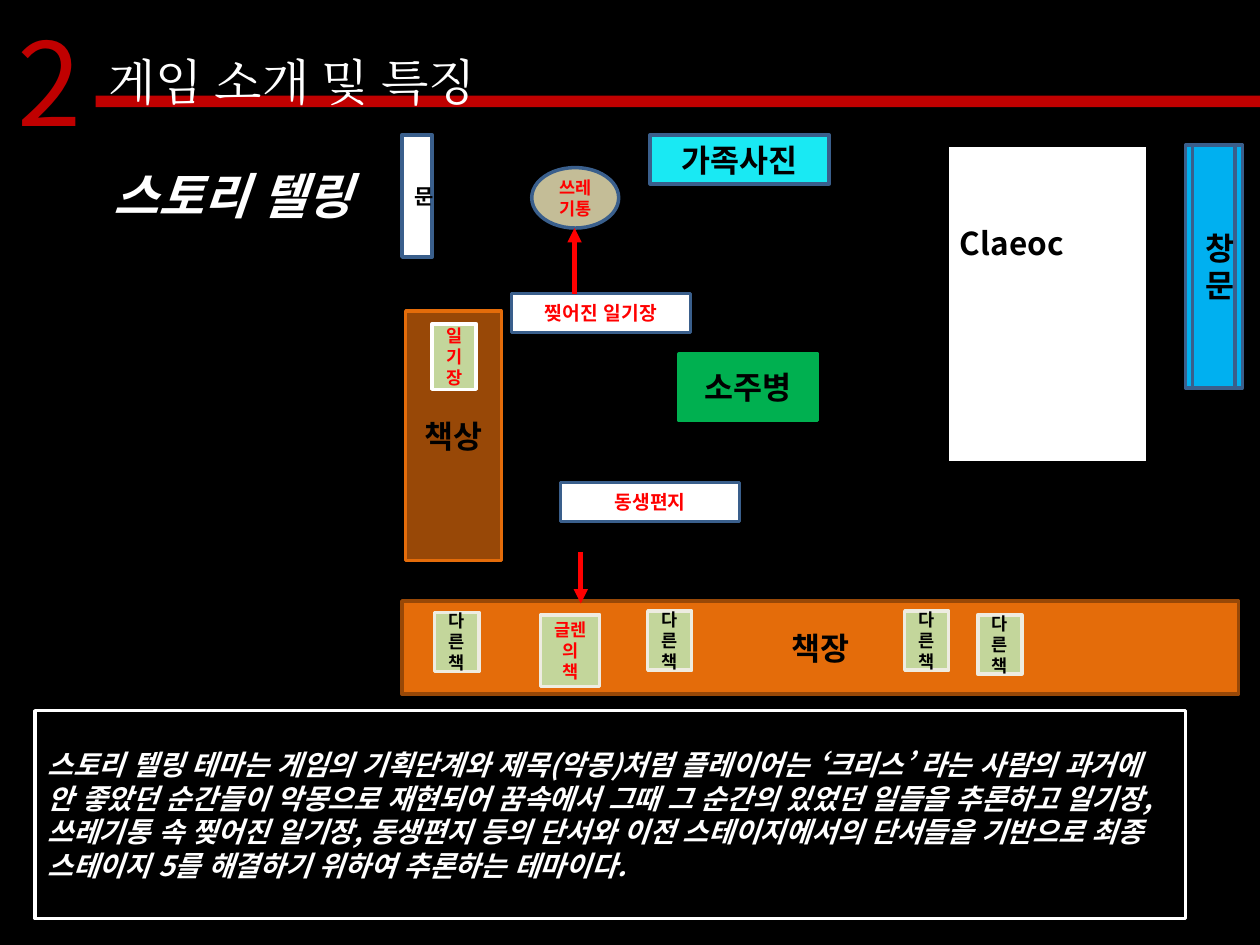
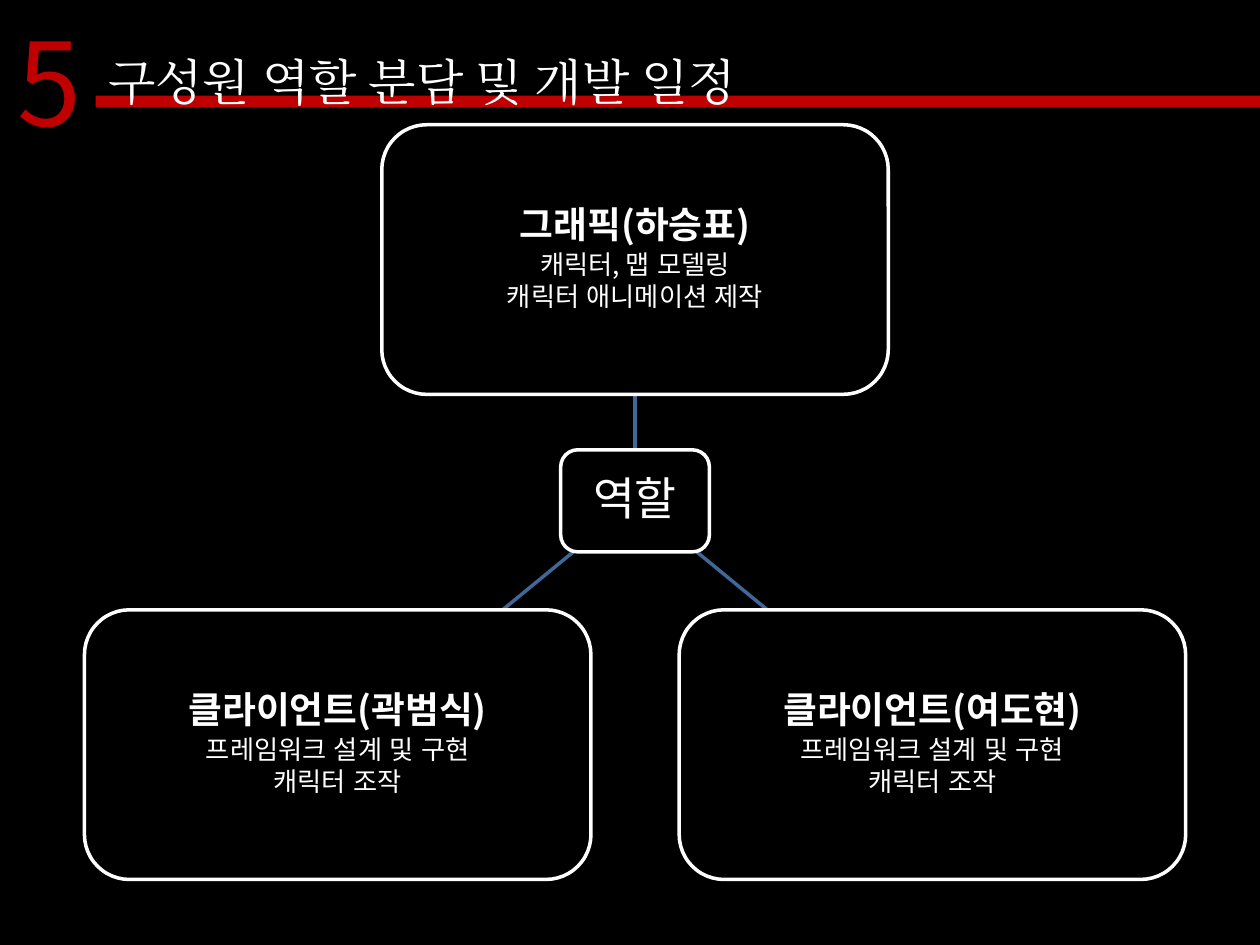
from dataclasses import dataclass

from lxml import etree
from pptx import Presentation
from pptx.dml.color import RGBColor
from pptx.enum.lang import MSO_LANGUAGE_ID
from pptx.enum.shapes import MSO_CONNECTOR, MSO_SHAPE
from pptx.enum.text import MSO_ANCHOR, MSO_AUTO_SIZE, PP_ALIGN
from pptx.oxml.ns import qn
from pptx.util import Inches, Pt

RECT = MSO_SHAPE.RECTANGLE
ROUNDED = MSO_SHAPE.ROUNDED_RECTANGLE
ELLIPSE = MSO_SHAPE.OVAL
PROCESS = MSO_SHAPE.FLOWCHART_PREDEFINED_PROCESS
STRAIGHT = MSO_CONNECTOR.STRAIGHT
LEFT, CENTER = PP_ALIGN.LEFT, PP_ALIGN.CENTER
TOP, MIDDLE = MSO_ANCHOR.TOP, MSO_ANCHOR.MIDDLE
FIT_SHAPE = MSO_AUTO_SIZE.SHAPE_TO_FIT_TEXT
KOREAN = MSO_LANGUAGE_ID.KOREAN


@dataclass(frozen=True)
class Theme:
    body: str = "Noto Sans CJK KR"
    heading: str = "Times New Roman"
    black: str = "000000"
    white: str = "FFFFFF"
    crimson: str = "C00000"
    red: str = "FF0000"
    brown: str = "984807"
    orange: str = "E46C0A"
    paper: str = "C3D69B"
    cream: str = "EEECE1"
    steel: str = "3A5F8C"
    branch: str = "3F6797"
    glass: str = "00B0F0"
    cyan: str = "19E9F3"
    green: str = "00B050"
    tan: str = "C4BD97"
    number: float = 66
    title: float = 28
    hub: float = 26
    role: float = 21
    object: float = 18
    story: float = 16
    duty: float = 15
    door: float = 12
    note: float = 11
    small: float = 10
    line: float = 2
    arrow: float = 2.75


T = Theme()


def rgb(value):
    return RGBColor.from_string(value)


def add_run(p, text, size, color, font=T.body, bold=False, italic=False):
    r = p.add_run()
    r.text = text
    f = r.font
    f.name, f.size, f.bold, f.italic = font, Pt(size), bold, italic
    f.color.rgb = rgb(color)
    f.language_id = KOREAN
    latin = f._element.find(qn("a:latin"))
    ea = etree.Element(qn("a:ea"), typeface=font)
    latin.addnext(ea)


def add_box(slide, box, fill, line=None, kind=RECT):
    s = slide.shapes.add_shape(kind, *map(Inches, box))
    s.shadow.inherit = False
    s.fill.solid()
    s.fill.fore_color.rgb = rgb(fill)
    if line:
        s.line.color.rgb = rgb(line)
        s.line.width = Pt(T.line)
    else:
        s.line.fill.background()
    s.text_frame.word_wrap = True
    s.text_frame.vertical_anchor = MIDDLE
    return s


def add_label(slide, box, text, size, fill, line, color=T.black, kind=RECT,
              align=CENTER, italic=False):
    s = add_box(slide, box, fill, line, kind)
    p = s.text_frame.paragraphs[0]
    p.alignment = align
    add_run(p, text, size, color, bold=True, italic=italic)
    return s


def add_line(slide, start, end, color, width, arrow=False):
    c = slide.shapes.add_connector(STRAIGHT, *map(Inches, (*start, *end)))
    c.line.color.rgb = rgb(color)
    c.line.width = Pt(width)
    if arrow:
        etree.SubElement(c.line._get_or_add_ln(), qn("a:tailEnd"), type="triangle")
    etree.SubElement(c._element.spPr, qn("a:effectLst"))


def add_heading(slide, box, text, size, color, font):
    tf = slide.shapes.add_textbox(*map(Inches, box)).text_frame
    tf.word_wrap = False
    tf.auto_size = FIT_SHAPE
    add_run(tf.paragraphs[0], text, size, color, font)


def add_header(slide, number, title, title_width):
    add_heading(slide, (0.04, 0.04, 0.71, 1.21), number, T.number, T.crimson, T.body)
    add_box(slide, (0.76, 0.76, 9.24, 0.09), T.crimson)
    add_heading(slide, (0.76, 0.36, title_width, 0.57), title, T.title, T.white, T.heading)


def add_shelf(slide, box):
    x, y = box[:2]
    add_label(slide, box, "책장", T.object, T.orange, T.brown)
    for dx, dy in ((0.26, 0.09), (1.95, 0.08), (3.99, 0.08), (4.57, 0.11)):
        add_label(slide, (x + dx, y + dy, 0.35, 0.47), "다른책", T.small, T.paper, T.cream)
    add_label(slide, (x + 1.1, y + 0.11, 0.47, 0.57), "글렌의 책", T.small,
              T.paper, T.cream, T.red)


def add_room(slide, x, y):
    furniture = (
        ((0.03, 1.4, 0.76, 1.98), "책상", T.object, T.brown, T.orange),
        ((0, 0, 0.24, 0.97), "문", T.door, T.white, T.steel),
        ((0.24, 1.5, 0.35, 0.52), "일기장", T.small, T.paper, T.white, T.red),
        ((6.22, 0.08, 0.45, 1.93), "창문", T.object, T.glass, T.steel, T.black, PROCESS),
        ((1.97, 0, 1.42, 0.39), "가족사진", T.object, T.cyan, T.steel),
        ((2.2, 1.74, 1.1, 0.53), "소주병", T.object, T.green, T.green),
        ((1.03, 0.26, 0.69, 0.48), "쓰레기통", T.small, T.tan, T.steel, T.red, ELLIPSE),
        ((1.26, 2.76, 1.42, 0.31), "동생편지", T.note, T.white, T.steel, T.red),
        ((0.87, 1.26, 1.42, 0.31), "찢어진 일기장", T.note, T.white, T.steel, T.red),
    )
    for (dx, dy, w, h), *style in furniture:
        add_label(slide, (x + dx, y + dy, w, h), *style)
    bed = add_label(slide, (x + 4.33, y + 0.08, 1.59, 2.52), "Claeoc", T.object,
                    T.white, T.black, align=LEFT)
    bed.text_frame.vertical_anchor = TOP
    bed.text_frame.margin_top = Inches(0.63)
    add_shelf(slide, (x, y + 3.7, 6.64, 0.74))
    for dx, start, end in ((1.37, 1.26, 0.74), (1.42, 3.31, 3.72)):
        add_line(slide, (x + dx, y + start), (x + dx, y + end), T.red, T.arrow, True)


def add_role(slide, box, lines):
    s = add_box(slide, box, T.black, T.white, ROUNDED)
    tf = s.text_frame
    tf.margin_left = tf.margin_right = tf.margin_top = tf.margin_bottom = Inches(0.06)
    for i, (text, size, bold) in enumerate(lines):
        p = tf.add_paragraph() if i else tf.paragraphs[0]
        p.alignment = CENTER
        p.line_spacing = 0.9
        p.space_after = Pt(round(size * 0.15, 1))
        add_run(p, text, size, T.white, bold=bold)


def add_role_map(slide, x, y):
    card_w, card_h, lower = 4.02, 2.14, 3.85
    hub_y, hub_w, hub_h = 2.58, 1.18, 0.81
    center = x + 4.37
    bottom = y + hub_y + hub_h
    branches = (
        ((center, y + hub_y), (center, y + card_h)),
        ((center + 0.49, bottom), (center + 1.05, y + lower)),
        ((center - 0.49, bottom), (center - 1.05, y + lower)),
    )
    for start, end in branches:
        add_line(slide, start, end, T.branch, T.line)
    add_role(slide, (center - hub_w / 2, y + hub_y, hub_w, hub_h),
             [("역할", T.hub, False)])
    client = ("프레임워크 설계 및 구현", "캐릭터 조작")
    members = (
        (2.36, 0, "그래픽(하승표)", ("캐릭터, 맵 모델링", "캐릭터 애니메이션 제작")),
        (4.72, lower, "클라이언트(여도현)", client),
        (0, lower, "클라이언트(곽범식)", client),
    )
    for dx, dy, name, duties in members:
        lines = [(name, T.role, True)] + [(d, T.duty, False) for d in duties]
        add_role(slide, (x + dx, y + dy, card_w, card_h), lines)


def build_story_slide(slide):
    add_header(slide, "2", "게임 소개 및 특징", 3.25)
    add_label(slide, (0.35, 1.23, 2.99, 0.63), "스토리 텔링", T.title,
              T.black, T.black, T.white, italic=True)
    story = (
        "스토리 텔링 테마는 게임의 기획단계와 제목(악몽)처럼 플레이어는 ‘크리스’ 라는 "
        "사람의 과거에 안 좋았던 순간들이 악몽으로 재현되어 꿈속에서 그때 그 순간의 "
        "있었던 일들을 추론하고 일기장, 쓰레기통 속 찢어진 일기장, 동생편지 등의 단서와 "
        "이전 스테이지에서의 단서들을 기반으로 최종 스테이지 5를 해결하기 위하여 "
        "추론하는 테마이다."
    )
    add_label(slide, (0.28, 5.64, 9.13, 1.65), story, T.story, T.black, T.white,
              T.white, align=LEFT, italic=True)
    add_room(slide, 3.19, 1.07)


def build_roles_slide(slide):
    add_header(slide, "5", "구성원 역할 분담 및 개발 일정", 5.5)
    add_role_map(slide, 0.67, 0.99)


def main():
    prs = Presentation()
    prs.slide_width, prs.slide_height = Inches(10), Inches(7.5)
    for build in (build_story_slide, build_roles_slide):
        slide = prs.slides.add_slide(prs.slide_layouts[6])
        background = slide.background.fill
        background.solid()
        background.fore_color.rgb = rgb(T.black)
        build(slide)
    prs.save("out.pptx")


if __name__ == "__main__":
    main()
